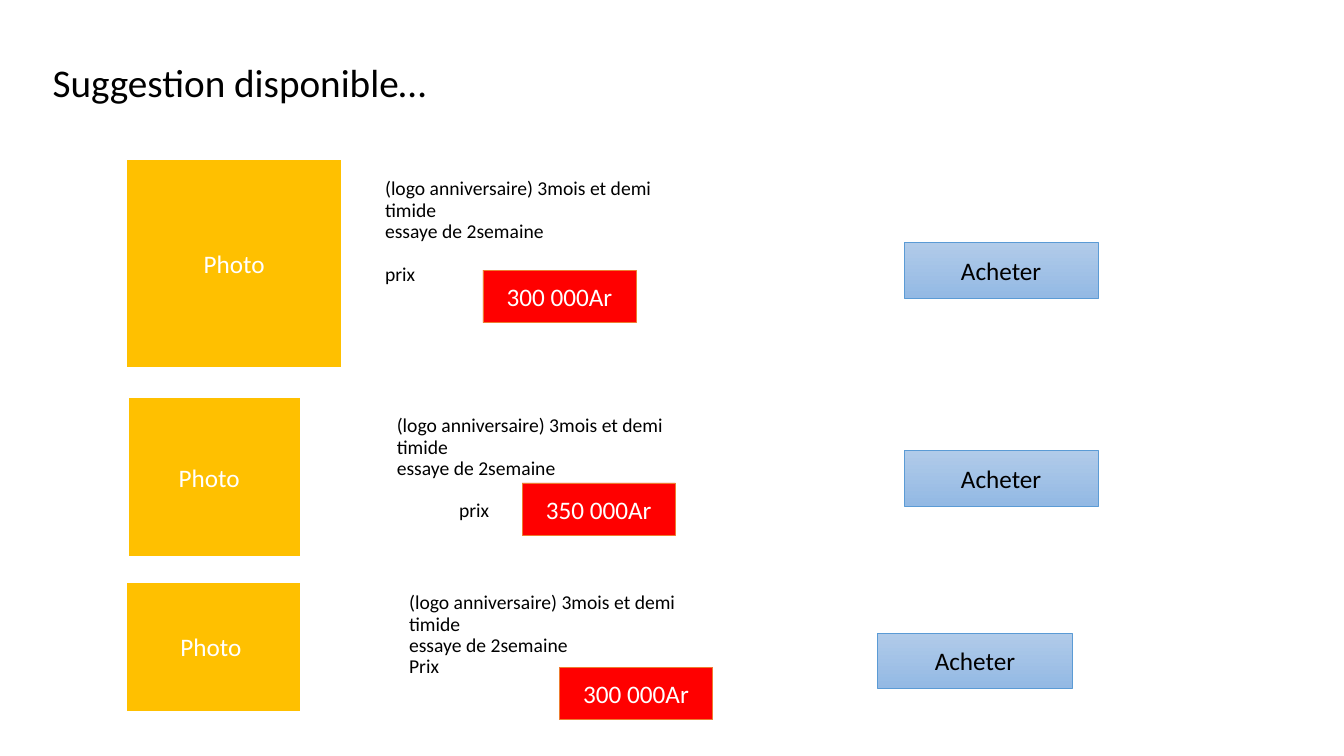
from pptx import Presentation
from pptx.dml.color import RGBColor
from pptx.enum.shapes import MSO_SHAPE
from pptx.enum.text import MSO_ANCHOR, MSO_AUTO_SIZE, PP_ALIGN
from pptx.oxml.ns import qn
from pptx.util import Cm, Pt

RECTANGLE = MSO_SHAPE.RECTANGLE
PROCESS = MSO_SHAPE.FLOWCHART_PROCESS
TOP, MIDDLE = MSO_ANCHOR.TOP, MSO_ANCHOR.MIDDLE
LEFT, CENTER = PP_ALIGN.LEFT, PP_ALIGN.CENTER
NO_AUTOFIT = MSO_AUTO_SIZE.NONE

BLACK, WHITE = "000000", "FFFFFF"
AMBER, RED, ORANGE, BLUE = "FFC000", "FF0000", "ED7D31", "5B9BD5"
BUTTON_TOP, BUTTON_BOTTOM = "B1CBE9", "93B9E4"
DESCRIPTION = "(logo anniversaire) 3mois et demi\vtimide\vessaye de 2semaine"


def color(value):
    return RGBColor.from_string(value)


def write(box, text, size=14, ink=BLACK, align=LEFT, anchor=MIDDLE,
          spacing=0.9, right=0.25, before=0, indent=0):
    """Fill a box with lines; before and indent apply to the last one."""
    frame = box.text_frame
    frame.word_wrap = True
    frame.auto_size = NO_AUTOFIT
    frame.vertical_anchor = anchor
    frame.margin_right = Cm(right)
    frame.text = text
    for para in frame.paragraphs:
        para.alignment = align
        para.line_spacing = spacing
        para.space_before = Pt(0)
        properties = para._p.get_or_add_pPr()
        properties.set("marL", "0")
        properties.set("indent", "0")
        properties.append(properties.makeelement(qn("a:buNone"), {}))
        for span in para.runs:
            span.font.name = "Calibri"
            span.font.size = Pt(size)
            span.font.color.rgb = color(ink)
    para.space_before = Pt(before)
    properties.set("marL", str(Cm(indent)))


deck = Presentation()
deck.slide_width, deck.slide_height = Cm(33.87), Cm(19.05)
page = deck.slides.add_slide(deck.slide_layouts[1])
heading, first_description = page.placeholders

# Heading
heading.left, heading.top = Cm(1.07), Cm(1.47)
heading.width, heading.height = Cm(29.21), Cm(1.6)
write(heading, "Suggestion disponible…", size=28, anchor=TOP)

# Descriptions: left, top, price label, space before it, its indent
descriptions = [
    (9.45, 4.01, "prix", 15.4, 0),
    (9.75, 9.98, "prix", 15.4, 1.57),
    (10.06, 14.17, "Prix", 0, 0),
]
for left, top, label, before, indent in descriptions:
    if label == "prix" and indent == 0:
        box = first_description
        box.left, box.top, box.width, box.height = Cm(left), Cm(top), Cm(18.62), Cm(3.68)
    else:
        box = page.shapes.add_textbox(Cm(left), Cm(top), Cm(18.62), Cm(3.68))
    write(box, f"{DESCRIPTION}\n{label}", before=before, indent=indent)

# Photo frames, buy buttons and price tags:
# kind, left, top, width, height, text, fill, line, line width, ink, right margin
photo = ("Photo", AMBER, WHITE, 1.5, WHITE)
button = ("Acheter", None, BLUE, 0.5, BLACK)
tag = (RED, ORANGE, 0.5, WHITE)
blocks = [
    (PROCESS, 3.18, 4.01, 5.44, 5.26, *photo, 0.25),
    (RECTANGLE, 3.23, 10.01, 4.37, 4.04, *photo, 0.54),
    (RECTANGLE, 3.18, 14.66, 4.42, 3.28, *photo, 0.4),
]
for left, top in ((22.78, 6.12), (22.78, 11.35), (22.12, 15.95)):
    blocks.append((RECTANGLE, left, top, 4.9, 1.4, *button, 0.25))
for left, top, price in ((12.17, 6.81, "300 000Ar"), (13.16, 12.17, "350 000Ar"),
                         (14.1, 16.81, "300 000Ar")):
    blocks.append((RECTANGLE, left, top, 3.86, 1.32, price, *tag, 0.25))

for kind, left, top, width, height, text, fill, line, weight, ink, right in blocks:
    shape = page.shapes.add_shape(kind, Cm(left), Cm(top), Cm(width), Cm(height))
    shape.shadow.inherit = False
    if fill:
        shape.fill.solid()
        shape.fill.fore_color.rgb = color(fill)
    else:
        shape.fill.gradient()
        shape.fill.gradient_angle = 270
        for stop, shade in zip(shape.fill.gradient_stops, (BUTTON_TOP, BUTTON_BOTTOM)):
            stop.color.rgb = color(shade)
    shape.line.color.rgb = color(line)
    shape.line.width = Pt(weight)
    write(shape, text, size=18, ink=ink, align=CENTER, spacing=1.0, right=right)

deck.save("out.pptx")
